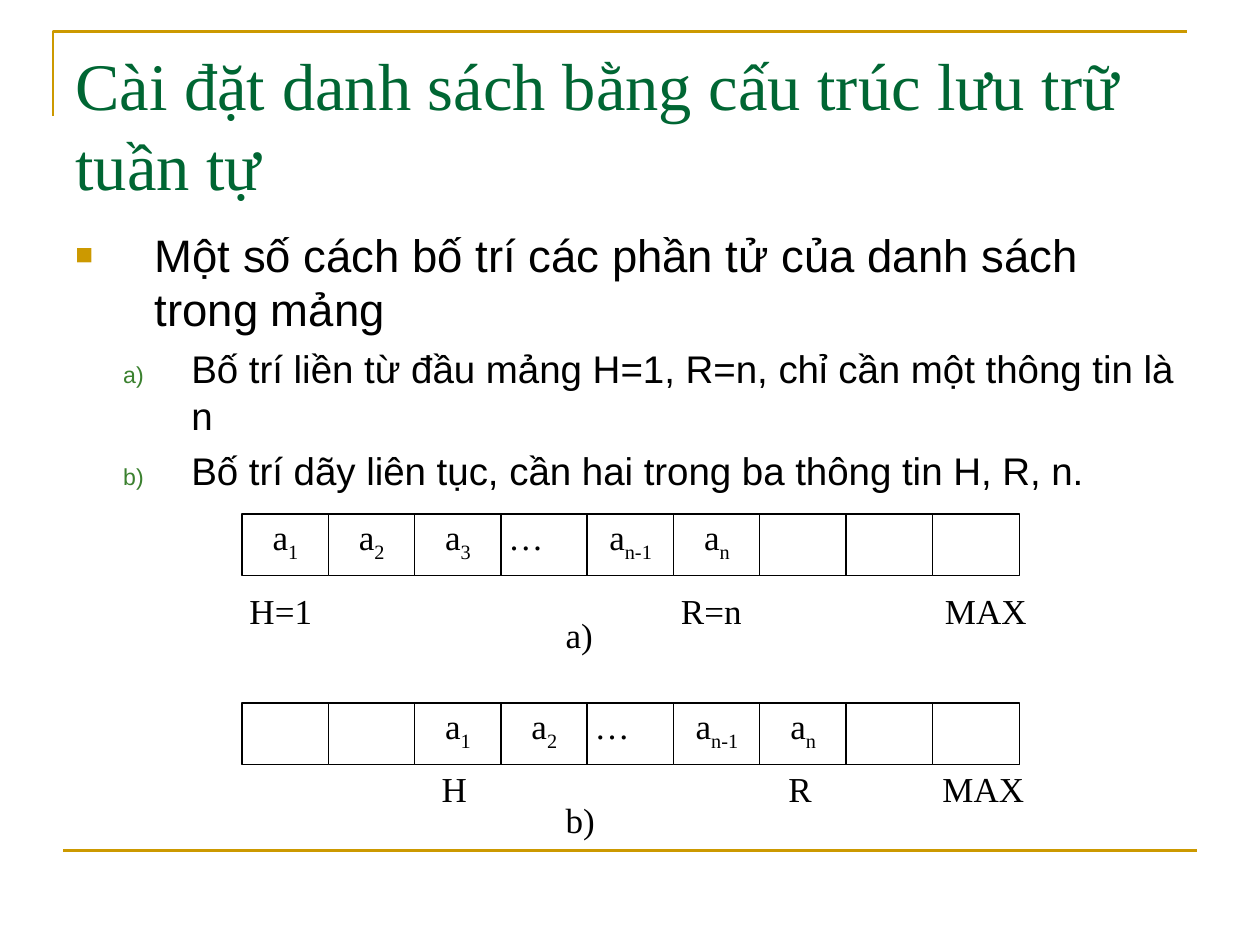
import pptx
import pptx.util
import pptx.dml.color
import pptx.enum.shapes
import pptx.enum.text
import pptx.oxml.ns
from lxml import etree

Inches, Pt = pptx.util.Inches, pptx.util.Pt
RGBColor = pptx.dml.color.RGBColor
PP_ALIGN = pptx.enum.text.PP_ALIGN
MSO_SHAPE = pptx.enum.shapes.MSO_SHAPE
qn = pptx.oxml.ns.qn

GOLD = RGBColor(0xCC, 0x99, 0x00)
TITLE_GREEN = RGBColor(0x00, 0x66, 0x33)
LETTER_GREEN = RGBColor(0x3B, 0x81, 0x2F)
BLACK = RGBColor(0x00, 0x00, 0x00)
WHITE = RGBColor(0xFF, 0xFF, 0xFF)
SERIF, SANS = "Times New Roman", "Arial"

TITLE = "Cài đặt danh sách bằng cấu trúc lưu trữ tuần tự"
HEADING = {"size": 26, "before": 6.5, "left": 0.63, "hang": 0.63, "level": 0,
           "bullet": ("buChar", "char", "■"), "bullet_color": GOLD, "bullet_share": 65}
ITEM = {"size": 22, "before": 5.5, "left": 0.92, "hang": 0.54, "level": 1,
        "bullet": ("buAutoNum", "type", "alphaLcParenR"),
        "bullet_color": LETTER_GREEN, "bullet_share": 60}
BODY = [
    ("Một số cách bố trí các phần tử của danh sách trong mảng", HEADING),
    ("Bố trí liền từ đầu mảng H=1, R=n, chỉ cần một thông tin là n", ITEM),
    ("Bố trí dãy liên tục, cần hai trong ba thông tin H, R, n.", ITEM),
]

ELEMENTS = [("a", "1"), ("a", "2"), ("a", "3"), ("…", ""), ("a", "n-1"), ("a", "n")]
SHIFTED = [("a", "1"), ("a", "2"), ("…", ""), ("a", "n-1"), ("a", "n")]
EMPTY = ("", "")
LEFT, CENTER = PP_ALIGN.LEFT, PP_ALIGN.CENTER
ARRAYS = [
    {"top": 4.08, "cells": ELEMENTS + [EMPTY] * 3, "label_drop": 0.59,
     "labels": [("H=1", 0, 0, 0.91, LEFT), ("R=n", 5, 0, 1.14, LEFT),
                ("MAX", 8, 0.04, 1.14, LEFT)],
     "caption": "a)", "caption_drop": 0.78},
    {"top": 5.58, "cells": [EMPTY] * 2 + SHIFTED + [EMPTY] * 2, "label_drop": 0.5,
     "labels": [("H", 2, 0, 0.63, CENTER), ("R", 6, 0, 0.64, CENTER),
                ("MAX", 8, 0.02, 1.14, LEFT)],
     "caption": "b)", "caption_drop": 0.75},
]
ARRAY_LEFT, CELL_PITCH, CELL_WIDTH, CELL_HEIGHT = 1.92, 0.685, 0.69, 0.49
CAPTION_LEFT = 4.43
MARGIN, CONTENT_WIDTH = 0.5, 9


def set_font(paragraph, name, size, color):
    paragraph.font.name = name
    paragraph.font.size = Pt(size)
    paragraph.font.color.rgb = color


def add_text_box(slide, left, top, width, height):
    box = slide.shapes.add_textbox(Inches(left), Inches(top), Inches(width), Inches(height))
    box.text_frame.word_wrap = True
    return box.text_frame


def fill_array_text(frame, text, subscript, align):
    frame.word_wrap = True
    frame.margin_left = frame.margin_right = Inches(0.06)
    frame.margin_top, frame.margin_bottom = Inches(0.01), Inches(0.05)
    frame.vertical_anchor = pptx.enum.text.MSO_ANCHOR.TOP
    paragraph = frame.paragraphs[0]
    paragraph.alignment = align
    set_font(paragraph, SERIF, 20, BLACK)
    paragraph.add_run().text = text
    if subscript:
        index = paragraph.add_run()
        index.text = subscript
        index._r.get_or_add_rPr().set("baseline", "-25000")


def add_bullet(paragraph, style):
    properties = paragraph._p.get_or_add_pPr()
    properties.set("marL", str(Inches(style["left"])))
    properties.set("indent", str(-Inches(style["hang"])))
    color = etree.SubElement(properties, qn("a:buClr"))
    etree.SubElement(color, qn("a:srgbClr")).set("val", str(style["bullet_color"]))
    share = etree.SubElement(properties, qn("a:buSzPct"))
    share.set("val", str(style["bullet_share"] * 1000))
    etree.SubElement(properties, qn("a:buFont")).set("typeface", SANS)
    tag, attribute, value = style["bullet"]
    etree.SubElement(properties, qn("a:" + tag)).set(attribute, value)


def add_frame_lines(slide):
    builder = slide.shapes.build_freeform(Inches(0.42), Inches(0.92))
    builder.add_line_segments([(Inches(0.42), Inches(0.25)), (Inches(9.42), Inches(0.25))],
                              close=False)
    corner = builder.convert_to_shape()
    corner.fill.background()
    corner.shadow.inherit = False
    footer = slide.shapes.add_connector(
        pptx.enum.shapes.MSO_CONNECTOR.STRAIGHT, Inches(MARGIN), Inches(6.75),
        Inches(MARGIN + CONTENT_WIDTH), Inches(6.75))
    etree.SubElement(footer._element.spPr, qn("a:effectLst"))
    for rule in (corner, footer):
        rule.line.color.rgb = GOLD
        rule.line.width = Pt(1.5)


def add_body(slide):
    frame = add_text_box(slide, MARGIN, 1.75, CONTENT_WIDTH, 4.95)
    for number, (text, style) in enumerate(BODY):
        paragraph = frame.add_paragraph() if number else frame.paragraphs[0]
        paragraph.text = text
        paragraph.level = style["level"]
        if number:
            paragraph.space_before = Pt(style["before"])
        add_bullet(paragraph, style)
        set_font(paragraph, SANS, style["size"], BLACK)


def add_array(slide, array):
    for column, (text, subscript) in enumerate(array["cells"]):
        cell = slide.shapes.add_shape(
            MSO_SHAPE.RECTANGLE, Inches(ARRAY_LEFT + column * CELL_PITCH),
            Inches(array["top"]), Inches(CELL_WIDTH), Inches(CELL_HEIGHT))
        cell.shadow.inherit = False
        cell.fill.solid()
        cell.fill.fore_color.rgb = WHITE
        cell.line.color.rgb = BLACK
        cell.line.width = Pt(0.75)
        if text:
            fill_array_text(cell.text_frame, text, subscript, CENTER if subscript else LEFT)
    for text, column, offset, width, align in array["labels"]:
        frame = add_text_box(slide, ARRAY_LEFT + column * CELL_PITCH + offset,
                             array["top"] + array["label_drop"], width, CELL_HEIGHT)
        fill_array_text(frame, text, "", align)
    caption = add_text_box(slide, CAPTION_LEFT, array["top"] + array["caption_drop"],
                           CELL_WIDTH, CELL_HEIGHT)
    fill_array_text(caption, array["caption"], "", LEFT)


def main():
    deck = pptx.Presentation()
    deck.slide_width, deck.slide_height = Inches(10), Inches(7.5)
    slide = deck.slides.add_slide(deck.slide_layouts[6])
    add_frame_lines(slide)
    title = add_text_box(slide, MARGIN, 0.3, CONTENT_WIDTH, 1.25).paragraphs[0]
    title.text = TITLE
    set_font(title, SERIF, 38, TITLE_GREEN)
    add_body(slide)
    for array in ARRAYS:
        add_array(slide, array)
    deck.save("out.pptx")


if __name__ == "__main__":
    main()
